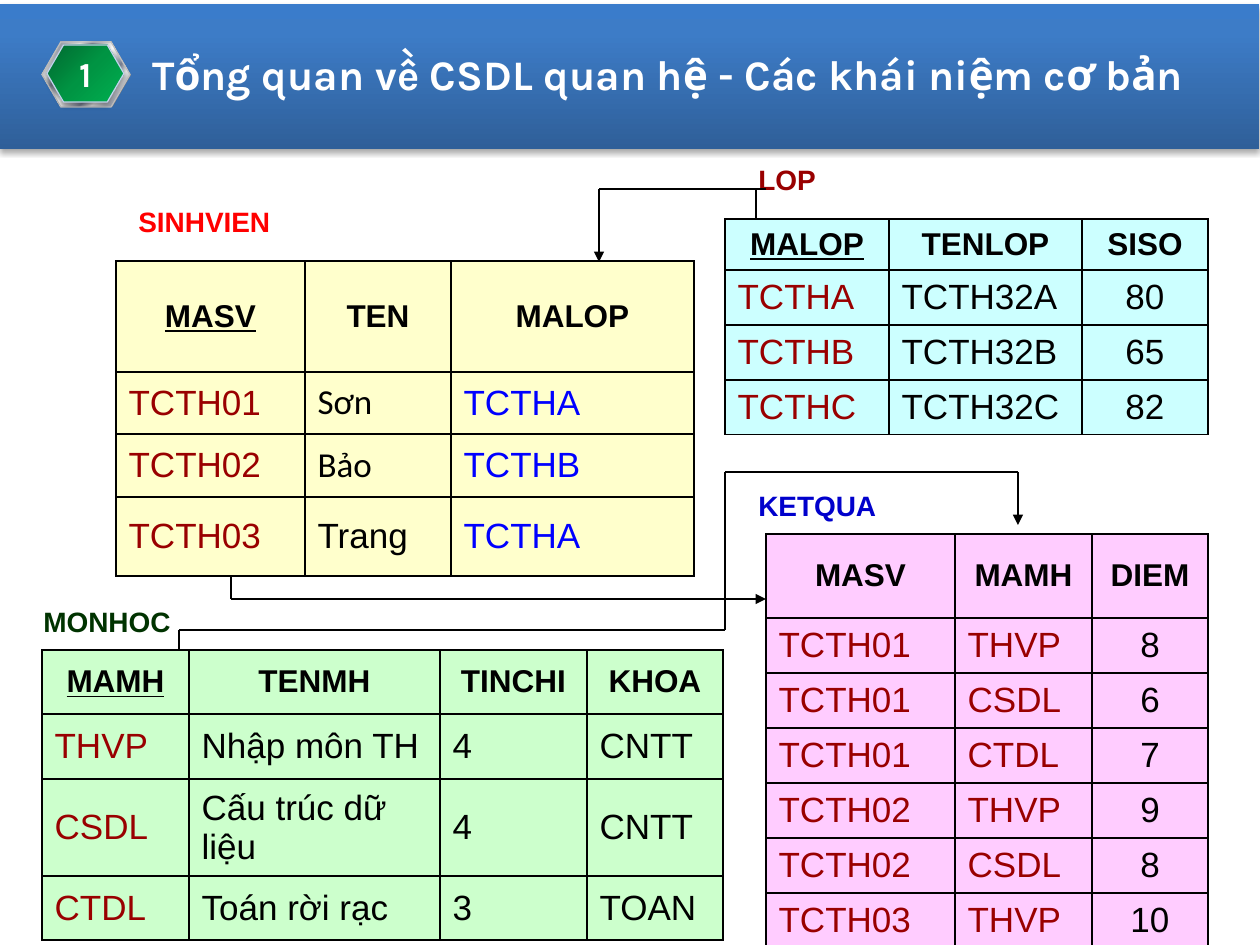
from itertools import pairwise

from lxml import etree
from pptx import Presentation
from pptx.dml.color import RGBColor
from pptx.enum.shapes import MSO_CONNECTOR, MSO_SHAPE
from pptx.enum.text import MSO_ANCHOR, PP_ALIGN
from pptx.oxml import parse_xml
from pptx.oxml.ns import nsdecls, qn
from pptx.util import Pt

RECT = MSO_SHAPE.RECTANGLE
HEX = MSO_SHAPE.HEXAGON
LINE = MSO_CONNECTOR.STRAIGHT
MID = MSO_ANCHOR.MIDDLE
TOP = MSO_ANCHOR.TOP
LEFT = PP_ALIGN.LEFT
CENTER = PP_ALIGN.CENTER

SCALE = 914400 / 126
BLACK, WHITE, RED, BLUE = "000000", "FFFFFF", "990000", "0000FF"
GREY, STEEL = "E6E6E6", "7D8496"
METAL = [(0, GREY), (8, STEEL), (26, GREY), (34, STEEL), (46, GREY), (50, WHITE),
         (54, GREY), (66, STEEL), (74, GREY), (92, STEEL), (100, GREY)]


def px(*nums):
    return [round(n * SCALE) for n in nums]


def color(code):
    return RGBColor.from_string(code)


def write(frame, text, size=20, font="Arial", ink=BLACK, bold=False,
          under=False, align=LEFT):
    para = frame.paragraphs[0]
    para.alignment = align
    run = para.add_run()
    run.text = text
    face = run.font
    face.size, face.name = Pt(size), font
    face.bold, face.underline = bold, under
    face.color.rgb = color(ink)


def label(slide, text, box, anchor=MID, wrap=False, **style):
    frame = slide.shapes.add_textbox(*px(*box)).text_frame
    frame.word_wrap = wrap
    frame.vertical_anchor = anchor
    write(frame, text, **style)


def shade(shape, stops, angle):
    shape.fill.gradient()
    shape.fill.gradient_angle = (360 - angle) % 360
    ramp = shape._element.spPr.find(".//" + qn("a:gsLst"))
    for old in list(ramp):
        ramp.remove(old)
    for pos, code in stops:
        stop = etree.SubElement(ramp, qn("a:gs"), pos=str(pos * 1000))
        etree.SubElement(stop, qn("a:srgbClr"), val=code)


def shadow(shape, alpha, blur, dist):
    shape._element.spPr.find(qn("a:effectLst")).append(parse_xml(
        f'<a:outerShdw {nsdecls("a")} blurRad="{Pt(blur)}" dist="{Pt(dist)}" '
        f'dir="5400000" rotWithShape="0"><a:srgbClr val="{BLACK}">'
        f'<a:alpha val="{alpha * 1000}"/></a:srgbClr></a:outerShdw>'))


def solid(slide, kind, box, fill, angle=0, edge=None):
    shape = slide.shapes.add_shape(kind, *px(*box))
    shape.shadow.inherit = False
    if kind == HEX:
        shape.adjustments[0] = 0.29
    if isinstance(fill, str):
        shape.fill.solid()
        shape.fill.fore_color.rgb = color(fill)
    else:
        shade(shape, fill, angle)
    if edge:
        shape.line.color.rgb = color(edge)
        shape.line.width = Pt(0.75)
    else:
        shape.line.fill.background()
    return shape


def border(cell):
    props = cell._tc.get_or_add_tcPr()
    for side in "LRTB":
        props.append(parse_xml(
            f'<a:ln{side} {nsdecls("a")} w="{Pt(1)}"><a:solidFill>'
            f'<a:srgbClr val="{BLACK}"/></a:solidFill></a:ln{side}>'))


def grid(slide, spot, cols, rows, fill, data, inks, mids=(), key=True, alt=()):
    box = px(*spot, sum(cols), sum(rows))
    table = slide.shapes.add_table(len(rows), len(cols), *box).table
    for col, width in zip(table.columns, px(*cols)):
        col.width = width
    for row, height in zip(table.rows, px(*rows)):
        row.height = height
    for r, line in enumerate(data):
        for c, text in enumerate(line.split("|")):
            cell = table.cell(r, c)
            cell.vertical_anchor = MID
            border(cell)
            cell.fill.solid()
            cell.fill.fore_color.rgb = color(fill)
            if r == 0:
                style = dict(size=18, bold=True, under=key and c == 0, align=CENTER)
            else:
                style = dict(ink=inks[c], align=CENTER if c in mids else LEFT,
                             font="Calibri" if text in alt else "Arial")
            write(cell.text_frame, text, **style)


def wire(slide, *spots, arrow=True):
    for start, end in pairwise(spots):
        line = slide.shapes.add_connector(LINE, *px(*start, *end))
        line.line.color.rgb = color(BLACK)
        line.line.width = Pt(0.75)
        etree.SubElement(line._element.spPr, qn("a:effectLst"))
    if arrow:
        etree.SubElement(line.line._get_or_add_ln(), qn("a:tailEnd"), type="triangle")


def banner(slide):
    bar = solid(slide, RECT, (-1, 4, 1260, 145),
                [(0, "2F5F99"), (80, "3D7CC7"), (100, "3A7CCB")], 270)
    shadow(bar, 35, 3.1, 1.8)
    label(slide, "Tổng quan về CSDL quan hệ - Các khái niệm cơ bản",
          (140, 42, 1120, 63), anchor=TOP, wrap=True,
          size=24, font="Karla", ink=WHITE, bold=True)
    solid(slide, HEX, (43, 43, 88, 64), "808080")
    solid(slide, HEX, (42, 42, 88, 65), METAL, 45, "C0C0C0")
    badge = solid(slide, HEX, (47, 45, 77, 57),
                  [(0, "00682F"), (50, "009443"), (100, "00B050")], 45, "C2D1ED")
    shadow(badge, 38, 3.1, 1.6)
    badge.text_frame.word_wrap = False
    badge.text_frame.vertical_anchor = MID
    write(badge.text_frame, "1", font="Karla", ink=WHITE, bold=True, align=CENTER)


def main():
    deck = Presentation()
    deck.slide_width, deck.slide_height = px(1260, 945)
    slide = deck.slides.add_slide(deck.slide_layouts[6])
    banner(slide)

    for text, x, y, width, ink in [
            ("MONHOC", 31, 598, 158, "003300"), ("SINHVIEN", 126, 198, 158, "FF0000"),
            ("KETQUA", 746, 482, 144, "0000CC"), ("LOP", 746, 156, 83, RED)]:
        label(slide, text, (x, y, width, 47), size=16, ink=ink, bold=True)

    grid(slide, (116, 261), (189, 146, 243), (111, 62, 63, 79), "FFFFCC",
         ["MASV|TEN|MALOP", "TCTH01|Sơn|TCTHA", "TCTH02|Bảo|TCTHB",
          "TCTH03|Trang|TCTHA"],
         (RED, BLACK, BLUE), alt=("Sơn", "Bảo"))
    grid(slide, (766, 534), (189, 137, 116), [84] + [55] * 6, "FFCCFF",
         ["MASV|MAMH|DIEM", "TCTH01|THVP|8", "TCTH01|CSDL|6", "TCTH01|CTDL|7",
          "TCTH02|THVP|9", "TCTH02|CSDL|8", "TCTH03|THVP|10"],
         (RED, RED, BLACK), mids=(2,), key=False)
    grid(slide, (42, 650), (147, 251, 147, 136), (64, 65, 97, 64), "CCFFCC",
         ["MAMH|TENMH|TINCHI|KHOA", "THVP|Nhập môn TH|4|CNTT",
          "CSDL|Cấu trúc dữ liệu|4|CNTT", "CTDL|Toán rời rạc|3|TOAN"],
         (RED, BLACK, BLACK, BLACK))
    grid(slide, (725, 219), (164, 193, 126), (51, 55, 55, 54), "CCFFFF",
         ["MALOP|TENLOP|SISO", "TCTHA|TCTH32A|80", "TCTHB|TCTH32B|65",
          "TCTHC|TCTH32C|82"],
         (RED, BLACK, BLACK), mids=(2,))

    wire(slide, (231, 577), (231, 599), (766, 599))
    wire(slide, (756, 220), (756, 189), arrow=False)
    wire(slide, (766, 189), (599, 189), (599, 262))
    wire(slide, (179, 651), (179, 630), (725, 630), (725, 472), (1018, 472), (1018, 525))
    deck.save("out.pptx")


if __name__ == "__main__":
    main()
